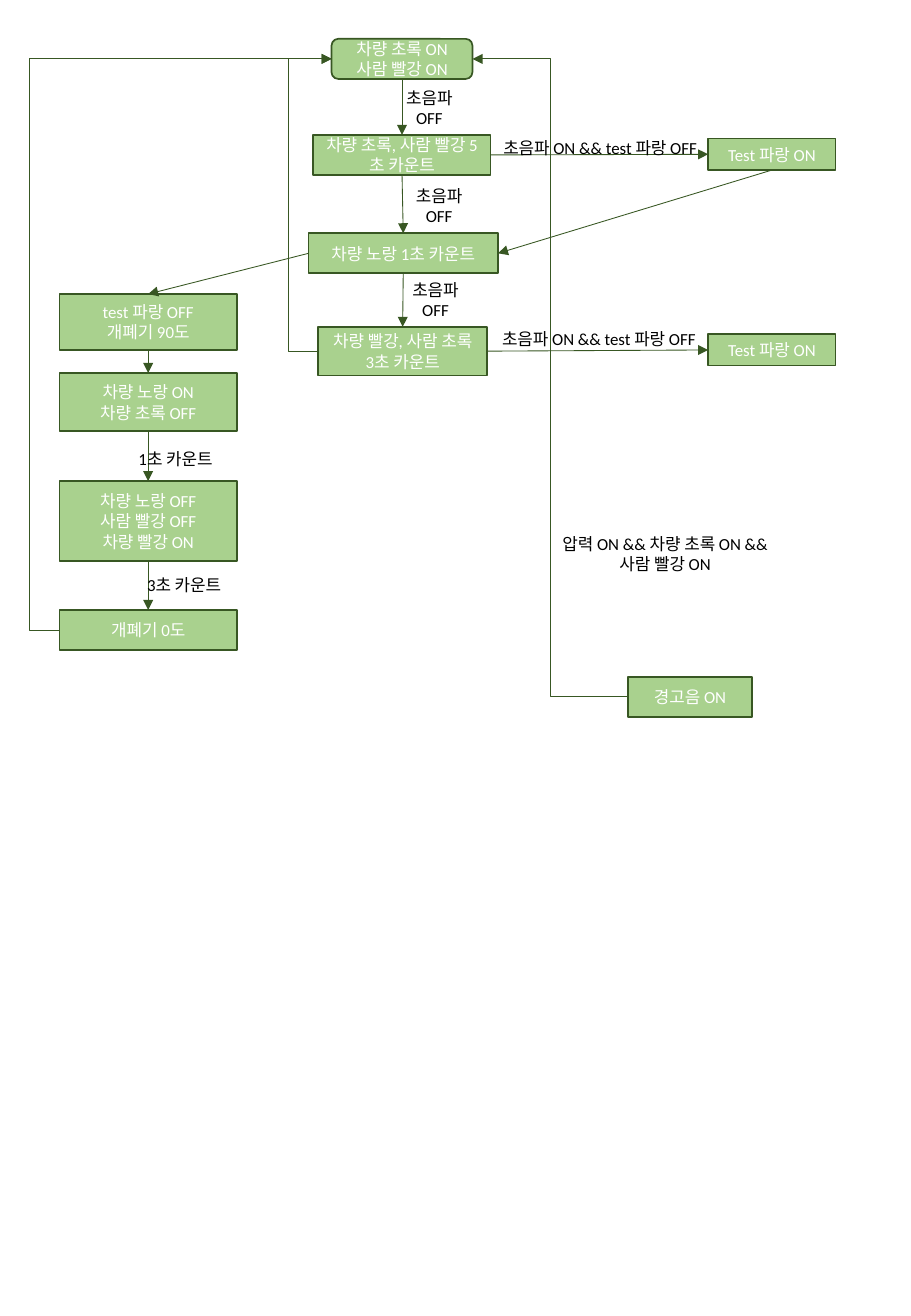
from lxml import etree
from pptx import Presentation
from pptx import util as u
from pptx.dml.color import RGBColor
from pptx.enum import shapes, text
from pptx.oxml.ns import qn

GREEN = RGBColor(0xA9, 0xD1, 0x8E)
DARK_GREEN = RGBColor(0x38, 0x57, 0x23)
WHITE = RGBColor(0xFF, 0xFF, 0xFF)
BLACK = RGBColor(0, 0, 0)
TOP, LEFT, BOTTOM, RIGHT = range(4)

# name: (left, top, width, height, lines)
STATES = {
    "start": (2.73, 0.32, 1.16, 0.33, ["차량 초록 ON", "사람 빨강 ON"]),
    "count 5": (2.58, 1.11, 1.46, 0.33, ["차량 초록, 사람 빨강 5초 카운트"]),
    "yellow": (2.54, 1.92, 1.56, 0.33, ["차량 노랑 1초 카운트"]),
    "count 3": (2.62, 2.69, 1.39, 0.4, ["차량 빨강, 사람 초록 3초 카운트"]),
    "upper test": (5.83, 1.14, 1.05, 0.26, ["Test 파랑 ON"]),
    "lower test": (5.83, 2.75, 1.05, 0.26, ["Test 파랑 ON"]),
    "gate open": (0.49, 2.42, 1.46, 0.46, ["test 파랑 OFF", "개폐기 90도"]),
    "yellow on": (0.49, 3.07, 1.46, 0.48, ["차량 노랑 ON", "차량 초록 OFF"]),
    "red on": (0.49, 3.96, 1.46, 0.66,
               ["차량 노랑 OFF", "사람 빨강 OFF", "차량 빨강 ON"]),
    "gate closed": (0.49, 5.02, 1.46, 0.33, ["개폐기 0도"]),
    "alarm": (5.17, 5.57, 1.02, 0.33, ["경고음 ON"]),
}

ARROWS = [
    ("start", BOTTOM, "count 5", TOP),
    ("count 5", BOTTOM, "yellow", TOP),
    ("yellow", BOTTOM, "count 3", TOP),
    ("count 5", RIGHT, "upper test", LEFT),
    ("count 3", RIGHT, "lower test", LEFT),
    ("upper test", BOTTOM, "yellow", RIGHT),
    ("yellow", LEFT, "gate open", TOP),
    ("gate open", BOTTOM, "yellow on", TOP),
    ("yellow on", BOTTOM, "red on", TOP),
    ("red on", BOTTOM, "gate closed", TOP),
]

# from, to, side of the start state, x of the vertical run
RETURNS = [
    ("count 3", "start", LEFT, 2.37),
    ("gate closed", "start", LEFT, 0.24),
    ("alarm", "start", RIGHT, 4.53),
]

LABEL_HEIGHT = 0.33
# left, top, width, side margin, text
LABELS = [
    (3.11, 0.72, 0.85, 0.15, "초음파 OFF"),
    (3.19, 1.53, 0.85, 0.15, "초음파 OFF"),
    (3.16, 2.3, 0.85, 0.15, "초음파 OFF"),
    (3.99, 1.05, 1.9, 0.15, "초음파 ON && test 파랑 OFF"),
    (3.98, 2.62, 1.9, 0.15, "초음파 ON && test 파랑 OFF"),
    (1.02, 3.61, 0.85, 0.1, "1초 카운트"),
    (1.09, 4.65, 0.85, 0.1, "3초 카운트"),
    (4.42, 4.39, 2.11, 0.1, "압력 ON && 차량 초록 ON && 사람 빨강 ON"),
]


def write(shape, lines, color, size=10, font="Calibri", margin=0.1):
    frame = shape.text_frame
    frame.word_wrap = True
    frame.vertical_anchor = text.MSO_ANCHOR.MIDDLE
    frame.margin_left = frame.margin_right = u.Inches(margin)
    for index, line in enumerate(lines):
        paragraph = frame.add_paragraph() if index else frame.paragraphs[0]
        paragraph.alignment = text.PP_ALIGN.CENTER
        run = paragraph.add_run()
        run.text = line
        run.font.size = u.Pt(size)
        run.font.name = font
        run.font.color.rgb = color


def add_state(slide, name):
    *box, lines = STATES[name]
    kind = shapes.MSO_SHAPE.RECTANGLE
    if name == "start":
        kind = shapes.MSO_SHAPE.ROUNDED_RECTANGLE
    shape = slide.shapes.add_shape(kind, *map(u.Inches, box))
    shape.shadow.inherit = False
    shape.fill.solid()
    shape.fill.fore_color.rgb = GREEN
    shape.line.color.rgb = DARK_GREEN
    shape.line.width = u.Pt(1)
    write(shape, lines, WHITE)
    return shape


def side_middle(name, side):
    left, top, width, height, _ = STATES[name]
    across, down = [(0.5, 0), (0, 0.5), (0.5, 1), (1, 0.5)][side]
    return left + across * width, top + down * height


def add_arrow(slide, kind, start, end):
    arrow = slide.shapes.add_connector(kind, *map(u.Inches, start + end))
    arrow.line.color.rgb = DARK_GREEN
    arrow.line.width = u.Pt(0.5)
    properties = arrow.line._get_or_add_ln()
    etree.SubElement(properties, qn("a:tailEnd"), type="triangle")
    etree.SubElement(arrow._element.spPr, qn("a:effectLst"))
    return arrow


def add_return(slide, source, target, side, run_x):
    """Draw an elbow arrow whose vertical run stands at run_x."""
    start, end = side_middle(source, LEFT), side_middle(target, side)
    arrow = add_arrow(slide, shapes.MSO_CONNECTOR.ELBOW, start, end)
    bend = round((run_x - start[0]) / (end[0] - start[0]) * 100000)
    geometry = arrow._element.spPr.find(qn("a:prstGeom"))
    guides = geometry.find(qn("a:avLst"))
    if guides is None:
        guides = etree.SubElement(geometry, qn("a:avLst"))
    etree.SubElement(guides, qn("a:gd"), name="adj1", fmla=f"val {bend}")


def main():
    presentation = Presentation()
    presentation.slide_width = u.Inches(7.5)
    presentation.slide_height = u.Inches(10.83)
    slide = presentation.slides.add_slide(presentation.slide_layouts[6])

    states = {name: add_state(slide, name) for name in STATES}
    for source, source_side, target, target_side in ARROWS:
        arrow = add_arrow(slide, shapes.MSO_CONNECTOR.STRAIGHT,
                          side_middle(source, source_side),
                          side_middle(target, target_side))
        arrow.begin_connect(states[source], source_side)
        arrow.end_connect(states[target], target_side)
    for route in RETURNS:
        add_return(slide, *route)
    for left, top, width, margin, label in LABELS:
        box = slide.shapes.add_textbox(
            *map(u.Inches, (left, top, width, LABEL_HEIGHT)))
        write(box, [label], BLACK, margin=margin)

    presentation.save("out.pptx")


if __name__ == "__main__":
    main()
